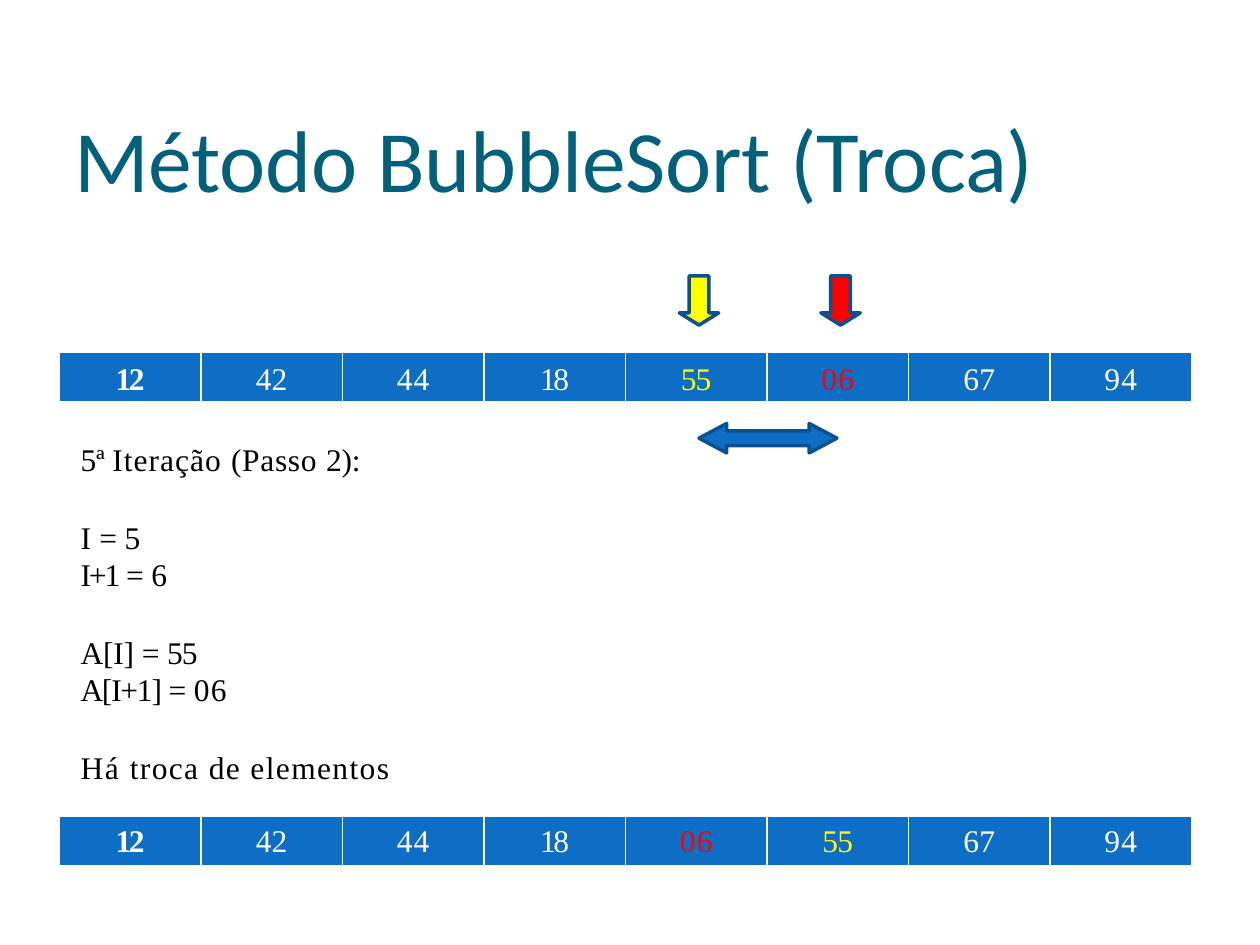
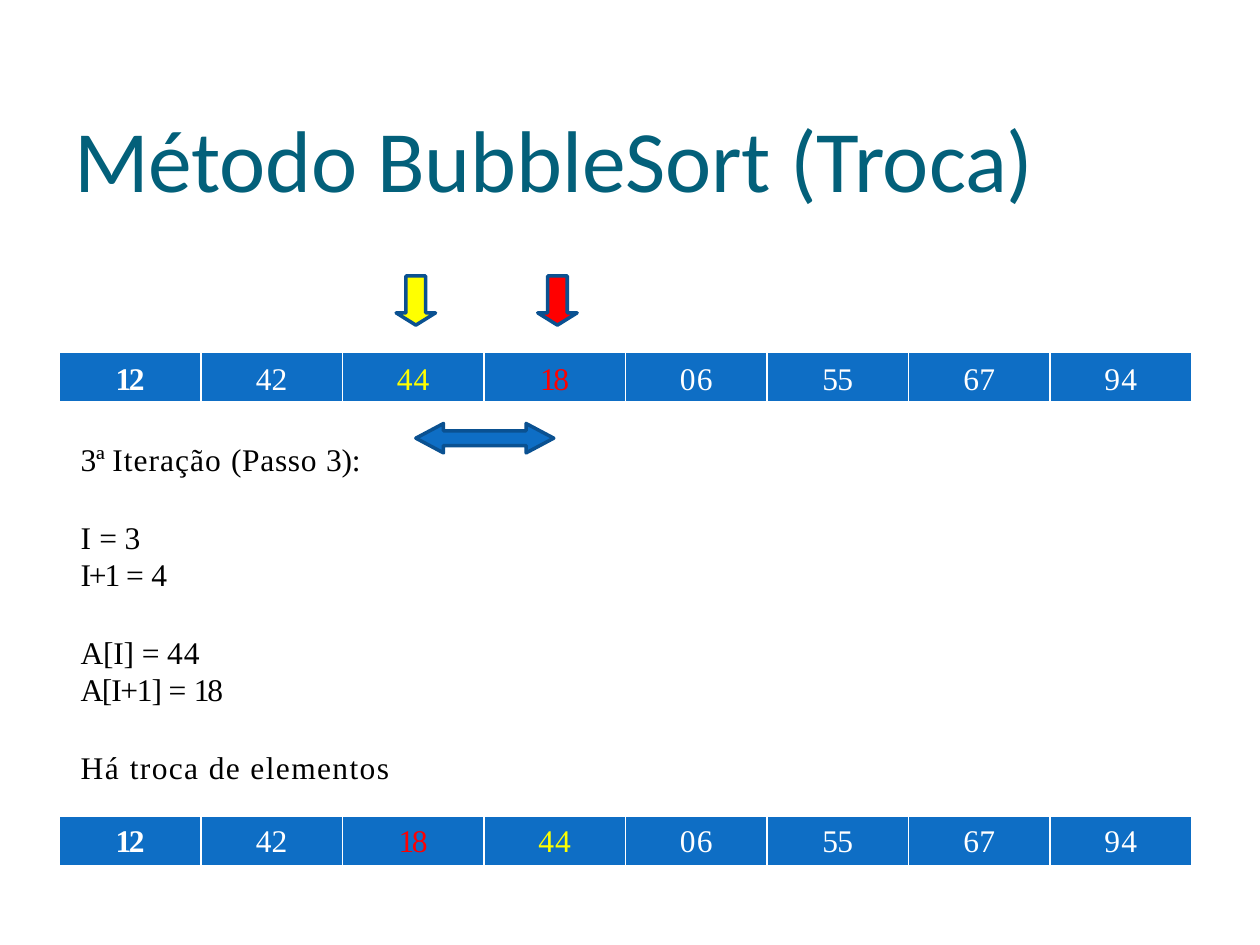
from lxml.etree import SubElement
from pptx import Presentation
from pptx.dml.color import RGBColor
from pptx.enum.shapes import MSO_SHAPE
from pptx.enum.text import PP_ALIGN
from pptx.oxml.ns import qn
from pptx.util import Pt

# Content: the array before the swap and the position I (counted from 1)
TITLE = "Método BubbleSort (Troca)"
STEPS = [
    {"iteration": 5, "passo": 2,
     "values": ["12", "42", "44", "18", "55", "06", "67", "94"]},
    {"iteration": 3, "passo": 3,
     "values": ["12", "42", "44", "18", "06", "55", "67", "94"]},
]

# Shared look
COLORS = {"title": "03607A", "text": "000000", "cell": "0E6EC5", "white": "FFFFFF",
          "current": "FFFF00", "next": "FF0000", "outline": "0A5191"}
BODY_FONT = "Times New Roman"
TRACKING = {"12": -1.4, "42": 0.1, "44": 0.6, "18": -1.4, "55": -0.5, "06": 0.7,
            "67": 0.2, "94": 0.7, "3": -0.8, "4": 0.6, "5": -0.5, "6": 0.7}

# Layout in points
ARRAY_LEFT, CELL_WIDTH, CELL_HEIGHT = 33.9, 80.9, 28.1
BEFORE_TOP, AFTER_TOP = 201.6, 466.6
POINTER_TOP, POINTER_WIDTH, POINTER_HEIGHT = 157.7, 22.5, 28.1
SWAP_TOP, SWAP_WIDTH, SWAP_HEIGHT = 242, 78.8, 16.8
LINE_HEIGHT, GROUP_GAP = 21.5, 22.8


def rgb(name):
    return RGBColor.from_string(COLORS[name])


def write(paragraph, text, size=18, font=BODY_FONT, color="text", bold=False, tracking=0):
    run = paragraph.add_run()
    run.text = text
    run.font.size, run.font.name, run.font.bold = Pt(size), font, bold
    run.font.color.rgb = rgb(color)
    run.font._element.set("spc", str(round(tracking * 100)))


def add_frame(slide, left, top, width, height, inset_top):
    frame = slide.shapes.add_textbox(Pt(left), Pt(top), Pt(width), Pt(height)).text_frame
    frame.word_wrap = True
    frame.margin_left = frame.margin_right = frame.margin_bottom = 0
    frame.margin_top = Pt(inset_top)
    return frame


def add_borders(cell, **widths):
    for side, width in widths.items():
        line = SubElement(cell._tc.get_or_add_tcPr(), qn(f"a:ln{side}"), w=str(Pt(width)))
        fill = SubElement(line, qn("a:solidFill"))
        SubElement(fill, qn("a:srgbClr"), val=COLORS["white"])


def add_array(slide, values, top, inset_top, highlights):
    count = len(values)
    table = slide.shapes.add_table(1, count, Pt(ARRAY_LEFT), Pt(top),
                                   Pt(CELL_WIDTH * count), Pt(CELL_HEIGHT)).table
    table.first_row = table.horz_banding = False
    table.rows[0].height = Pt(CELL_HEIGHT)
    for index, value in enumerate(values):
        table.columns[index].width = Pt(CELL_WIDTH)
        cell = table.cell(0, index)
        cell.margin_left = cell.margin_right = cell.margin_bottom = 0
        cell.margin_top = Pt(inset_top)
        add_borders(cell, L=1 if index else 0.5, R=1 if index < count - 1 else 0.5,
                    T=0.5, B=1.5)
        cell.fill.solid()
        cell.fill.fore_color.rgb = rgb("cell")
        paragraph = cell.text_frame.paragraphs[0]
        paragraph.alignment = PP_ALIGN.CENTER
        write(paragraph, value, color=highlights.get(index, "white"), bold=index == 0,
              tracking=TRACKING[value])


def add_arrow(slide, kind, left, top, width, height, color, head):
    arrow = slide.shapes.add_shape(kind, Pt(left), Pt(top), Pt(width), Pt(height))
    arrow.adjustments[0], arrow.adjustments[1] = 0.5, head
    arrow.shadow.inherit = False
    arrow.fill.solid()
    arrow.fill.fore_color.rgb = rgb(color)
    arrow.line.color.rgb = rgb("outline")
    arrow.line.width = Pt(2)


def add_explanation(slide, iteration, passo, current, following):
    # Groups of lines; each line is a list of (text, tracking)
    def assignment(name, tracking, value):
        return [(f"{name} ", tracking), ("= ", -0.2), (value, TRACKING[value])]

    groups = [
        [[(f"{iteration}ª ", -0.1), ("Iteração ", 0.6), ("(Passo ", 0.4), (f"{passo}):", -0.1)]],
        [assignment("I", 0.1, str(iteration)), assignment("I+1", -1.2, str(iteration + 1))],
        [assignment("A[I]", -0.1, current), assignment("A[I+1]", -0.7, following)],
        [[("Há ", 0.9), ("troca de elementos", 0.8)]],
    ]
    frame = add_frame(slide, 46, 249.8, 190, 196.6, 1.9)
    paragraph = frame.paragraphs[0]
    for group_index, group in enumerate(groups):
        for line_index, line in enumerate(group):
            if group_index or line_index:
                paragraph = frame.add_paragraph()
            if group_index and not line_index:
                paragraph.space_before = Pt(GROUP_GAP)
            paragraph.line_spacing = Pt(LINE_HEIGHT)
            for text, tracking in line:
                write(paragraph, text, tracking=tracking)


def add_step(prs, iteration, passo, values):
    slide = prs.slides.add_slide(prs.slide_layouts[6])
    current, following = iteration - 1, iteration
    swapped = values.copy()
    swapped[current], swapped[following] = values[following], values[current]

    # Title
    title = add_frame(slide, 42.4, 58.3, 620, 61.9, 1.7)
    write(title.paragraphs[0], TITLE, size=50, font="Calibri", color="title", tracking=-0.1)

    # Array before the swap, explanation, array after the swap
    add_array(slide, values, BEFORE_TOP, 5.5, {current: "current", following: "next"})
    add_explanation(slide, iteration, passo, values[current], values[following])
    add_array(slide, swapped, AFTER_TOP, 4.7, {current: "next", following: "current"})

    # Pointers above the compared cells and the swap arrow between them
    center = ARRAY_LEFT + CELL_WIDTH * (current + 0.5) + 1.5
    for offset, color in enumerate(("current", "next")):
        add_arrow(slide, MSO_SHAPE.DOWN_ARROW,
                  center + offset * CELL_WIDTH - POINTER_WIDTH / 2, POINTER_TOP,
                  POINTER_WIDTH, POINTER_HEIGHT, color, head=0.31)
    add_arrow(slide, MSO_SHAPE.LEFT_RIGHT_ARROW, center, SWAP_TOP,
              SWAP_WIDTH, SWAP_HEIGHT, "cell", head=0.94)


def main():
    prs = Presentation()
    prs.slide_width, prs.slide_height = Pt(720), Pt(540)
    for step in STEPS:
        add_step(prs, **step)
    prs.save("out.pptx")


if __name__ == "__main__":
    main()
